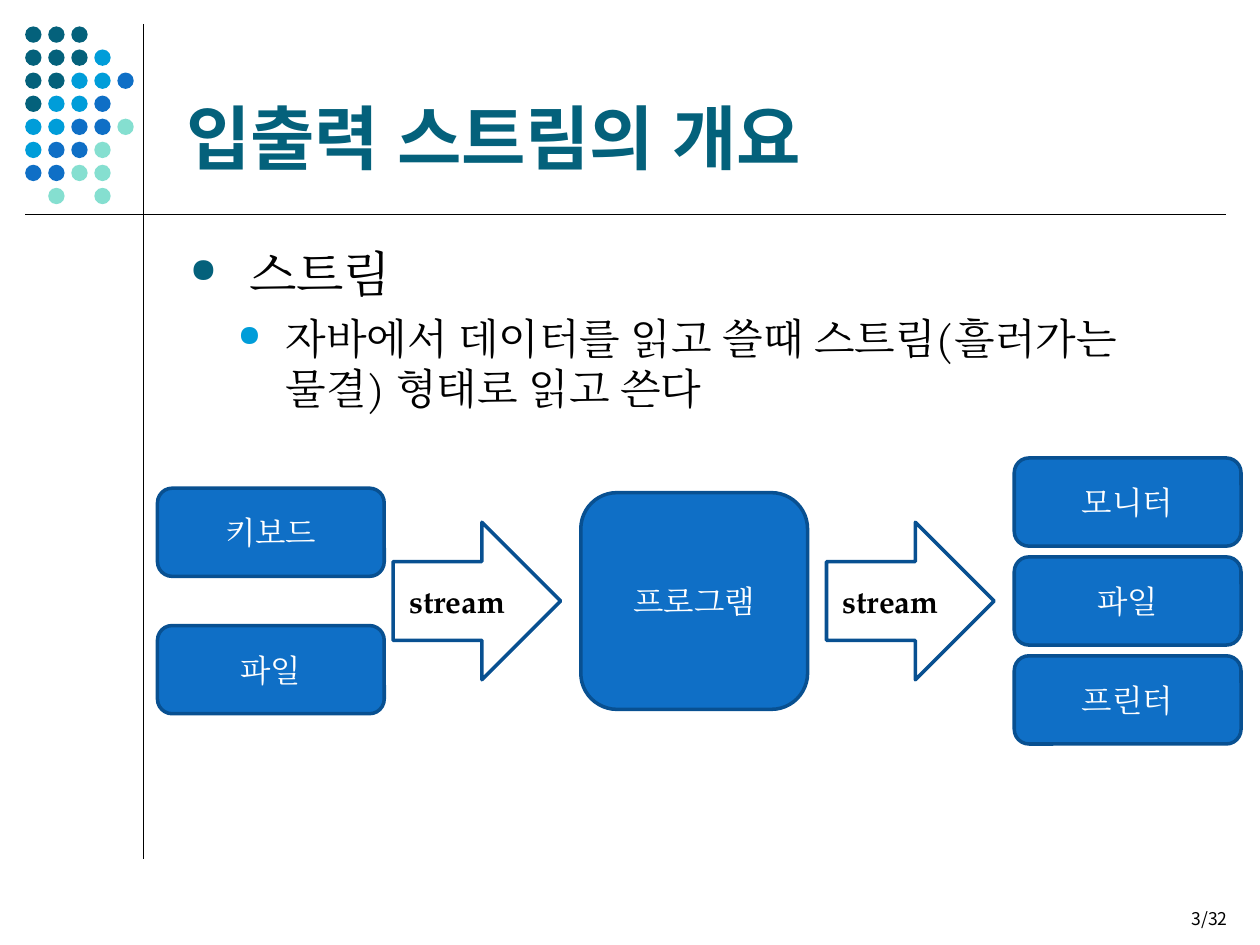
from lxml.etree import SubElement
from pptx import Presentation
from pptx.dml.color import RGBColor
from pptx.enum.shapes import MSO_CONNECTOR, MSO_SHAPE as SHAPE
from pptx.enum.text import MSO_ANCHOR as ANCHOR, PP_ALIGN as ALIGN
from pptx.oxml.ns import qn
from pptx.util import Inches, Pt

COLORS = {"teal": "04617B", "sky": "009DD9", "blue": "0F6FC6", "mint": "85DFD0",
          "edge": "085091", "black": "000000", "white": "FFFFFF"}
SERIF, SANS, CJK = "TeX Gyre Pagella", "Noto Sans", "Noto Sans CJK KR"
WIDTH, HEIGHT = 10, 7.5

TITLE = "입출력 스트림의 개요"
# text, size, left margin, hanging indent, space before, bullet colour
BULLETS = [
    ("스트림", 28, 0.47, 0.47, 0, "teal"),
    ("자바에서 데이터를 읽고 쓸때 스트림(흘러가는 물결) 형태로 읽고 쓴다",
     24, 0.76, 0.38, 6, "sky"),
]
PAGE = "3/32"

DOT_ROWS = ["ttt", "ttts", "ttssb", "tssb", "ssbbm", "sbbm", "bbmm", " m m"]
DOT_COLORS = {"t": "teal", "s": "sky", "b": "blue", "m": "mint"}
DOT_LEFT, DOT_TOP, DOT_PITCH, DOT_SIZE = 0.2, 0.21, 0.183, 0.13
RULES = [((1.14, 0.19), (1.14, 6.82)), ((0.2, 1.7), (9.73, 1.7))]

# Each column of the diagram: left, labels, box height, vertical pitch
BOX_COLUMNS = [
    (1.25, ["키보드", "파일"], 0.7, 1.09),
    (4.61, ["프로그램"], 1.72, 0),
    (8.05, ["모니터", "파일", "프린터"], 0.7, 0.785),
]
ARROW_LEFTS, ARROW_LABEL = [3.12, 6.56], "stream"
BOX_WIDTH, ARROW_WIDTH, ARROW_HEIGHT = 1.8, 1.33, 1.25
DIAGRAM_MIDDLE = 4.77


def rgb(name):
    return RGBColor.from_string(COLORS[name])


def style(paragraph, size, typeface, color, bold=False):
    """Set one font for Latin and Korean text alike."""
    font = paragraph.font
    font.size, font.bold, font.name = Pt(size), bold, typeface
    font.color.rgb = rgb(color)
    defaults = paragraph._p.pPr.find(qn("a:defRPr"))
    SubElement(defaults, qn("a:ea")).set("typeface", typeface)


def add_bullet(paragraph, margin, hanging, color):
    props = paragraph._p.get_or_add_pPr()
    props.set("marL", str(Inches(margin)))
    props.set("indent", str(-Inches(hanging)))
    bullet_color = SubElement(props, qn("a:buClr"))
    SubElement(bullet_color, qn("a:srgbClr")).set("val", COLORS[color])
    SubElement(props, qn("a:buSzPct")).set("val", "70000")
    SubElement(props, qn("a:buChar")).set("char", "●")


def add_text_frame(slide, left, top, width, height, anchor=ANCHOR.TOP):
    box = slide.shapes.add_textbox(*map(Inches, (left, top, width, height)))
    frame = box.text_frame
    frame.word_wrap = True
    frame.vertical_anchor = anchor
    return frame


def add_solid(slide, preset, left, top, width, height, fill, edge=None):
    solid = slide.shapes.add_shape(preset, *map(Inches, (left, top, width, height)))
    solid.shadow.inherit = False
    solid.fill.solid()
    solid.fill.fore_color.rgb = rgb(fill)
    if edge:
        solid.line.color.rgb = rgb(edge)
        solid.line.width = Pt(2)
    else:
        solid.line.fill.background()
    return solid


def add_label(solid, label, color, bold=False):
    frame = solid.text_frame
    frame.vertical_anchor = ANCHOR.MIDDLE
    paragraph = frame.paragraphs[0]
    paragraph.text = label
    paragraph.alignment = ALIGN.CENTER
    style(paragraph, 18, SERIF, color, bold)


def add_decoration(slide):
    for start, end in RULES:
        rule = slide.shapes.add_connector(
            MSO_CONNECTOR.STRAIGHT, *map(Inches, start + end))
        rule.line.color.rgb = rgb("black")
        rule.line.width = Pt(0.75)
        SubElement(rule._element.spPr, qn("a:effectLst"))
    for row, dots in enumerate(DOT_ROWS):
        for column, dot in enumerate(dots):
            if dot in DOT_COLORS:
                add_solid(slide, SHAPE.OVAL, DOT_LEFT + column * DOT_PITCH,
                          DOT_TOP + row * DOT_PITCH, DOT_SIZE, DOT_SIZE,
                          DOT_COLORS[dot])


def add_texts(slide):
    title = add_text_frame(slide, 1.38, 0.21, 8.25, 1.26, ANCHOR.BOTTOM).paragraphs[0]
    title.text = TITLE
    style(title, 40, SANS, "teal", bold=True)

    body = add_text_frame(slide, 1.41, 1.88, 8.2, 4.82)
    for index, (text, size, margin, hanging, before, color) in enumerate(BULLETS):
        paragraph = body.add_paragraph() if index else body.paragraphs[0]
        paragraph.text = text
        if before:
            paragraph.space_before = Pt(before)
        add_bullet(paragraph, margin, hanging, color)
        style(paragraph, size, SERIF, "black")

    page = add_text_frame(slide, 7.51, 7.16, 2.33, 0.5).paragraphs[0]
    page.text = PAGE
    page.alignment = ALIGN.RIGHT
    style(page, 10, CJK, "black")


def add_diagram(slide):
    for left, labels, height, pitch in BOX_COLUMNS:
        first_top = DIAGRAM_MIDDLE - (height + (len(labels) - 1) * pitch) / 2
        for row, label in enumerate(labels):
            box = add_solid(slide, SHAPE.ROUNDED_RECTANGLE, left,
                            first_top + row * pitch, BOX_WIDTH, height,
                            "blue", "edge")
            add_label(box, label, "white")
    for left in ARROW_LEFTS:
        arrow = add_solid(slide, SHAPE.RIGHT_ARROW, left,
                          DIAGRAM_MIDDLE - ARROW_HEIGHT / 2, ARROW_WIDTH,
                          ARROW_HEIGHT, "white", "edge")
        add_label(arrow, ARROW_LABEL, "black", bold=True)


def main():
    deck = Presentation()
    deck.slide_width, deck.slide_height = Inches(WIDTH), Inches(HEIGHT)
    slide = deck.slides.add_slide(deck.slide_layouts[6])
    add_decoration(slide)
    add_texts(slide)
    add_diagram(slide)
    deck.save("out.pptx")


if __name__ == "__main__":
    main()
